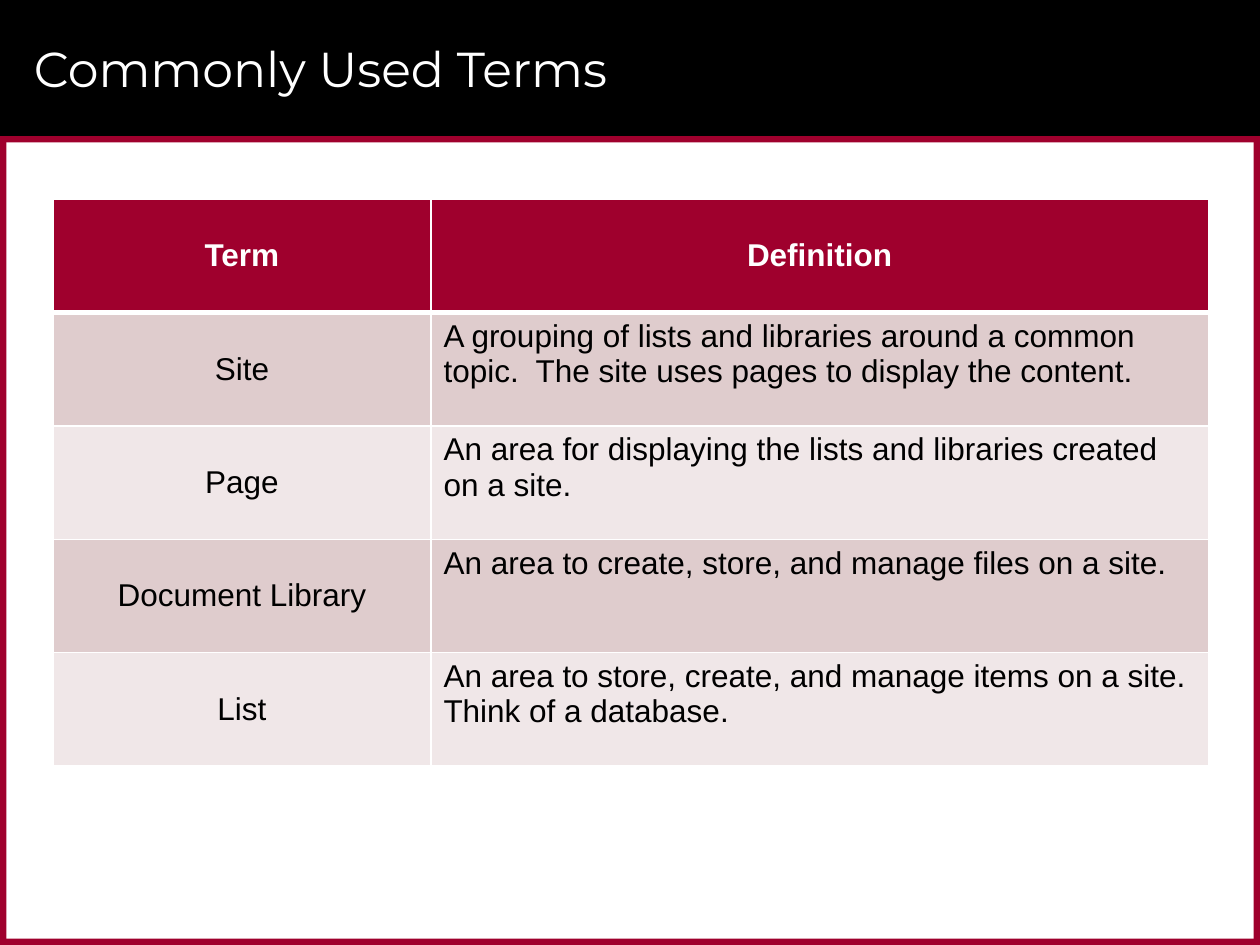
"""Build the Commonly Used Terms slide: title band, red frame and glossary table."""
from dataclasses import dataclass

from lxml import etree
from pptx import Presentation
from pptx import util as u
from pptx.dml.color import RGBColor
from pptx.enum import shapes, text
from pptx.oxml import ns

RED, BLACK, WHITE = "9F002D", "000000", "FFFFFF"
ROW_FILLS = ("DFCCCD", "F0E7E8")
COL_WIDTHS = (3, 6.17)
ROW_HEIGHT = 0.9
BAND, EDGE, WIDTH, HEIGHT = 1.08, 0.05, 10, 7.5


@dataclass
class Bar:
    left: float
    top: float
    width: float
    height: float
    fill: str = RED


@dataclass
class Entry:
    term: str
    definition: str


BARS = [
    Bar(0, 0, WIDTH, BAND, BLACK),
    Bar(0, BAND, WIDTH, EDGE),
    Bar(0, HEIGHT - EDGE, WIDTH, EDGE),
    Bar(WIDTH - EDGE, BAND, EDGE, HEIGHT - BAND),
    Bar(0, BAND, EDGE, HEIGHT - BAND),
]
ENTRIES = [
    Entry("Term", "Definition"),
    Entry("Site", "A grouping of lists and libraries around a common topic.  "
                  "The site uses pages to display the content."),
    Entry("Page", "An area for displaying the lists and libraries created on a site."),
    Entry("Document Library", "An area to create, store, and manage files on a site."),
    Entry("List", "An area to store, create, and manage items on a site.  Think of a database."),
]


def paint(color_format, value: str) -> None:
    color_format.rgb = RGBColor.from_string(value)


def fill_solid(target, value: str) -> None:
    target.fill.solid()
    paint(target.fill.fore_color, value)


def style(p, font: str, size: float, color: str, bold: bool = False) -> None:
    for r in p.runs:
        r.font.name, r.font.size, r.font.bold = font, u.Pt(size), bold
        paint(r.font.color, color)


def add_bar(s, bar: Bar) -> None:
    sp = s.shapes.add_shape(
        shapes.MSO_SHAPE.RECTANGLE, u.Inches(bar.left), u.Inches(bar.top),
        u.Inches(bar.width), u.Inches(bar.height))
    sp.shadow.inherit = False
    fill_solid(sp, bar.fill)
    sp.line.fill.background()


def add_title(s, title: str) -> None:
    sp = s.shapes.add_textbox(u.Inches(0.17), u.Inches(0.08), u.Inches(9.42), u.Inches(0.92))
    tf = sp.text_frame
    tf.word_wrap = True
    tf.vertical_anchor = text.MSO_ANCHOR.MIDDLE
    tf.text = title
    style(tf.paragraphs[0], "Montserrat", 28, WHITE)


def set_borders(cell, top: float, bottom: float) -> None:
    tc_pr = cell._tc.get_or_add_tcPr()
    widths = {"lnL": 1, "lnR": 1, "lnT": top, "lnB": bottom}
    for i, (side, width) in enumerate(widths.items()):
        ln = etree.Element(ns.qn(f"a:{side}"), w=str(u.Pt(width)))
        fill = etree.SubElement(ln, ns.qn("a:solidFill"))
        etree.SubElement(fill, ns.qn("a:srgbClr"), val=WHITE)
        tc_pr.insert(i, ln)


def fill_cell(cell, value: str, row: int, centered: bool) -> None:
    header = row == 0
    cell.text_frame.text = value
    p = cell.text_frame.paragraphs[0]
    style(p, "Arial", 18, WHITE if header else BLACK, header)
    if centered:
        p.alignment = text.PP_ALIGN.CENTER
        cell.vertical_anchor = text.MSO_ANCHOR.MIDDLE
    fill_solid(cell, RED if header else ROW_FILLS[(row - 1) % 2])
    set_borders(cell, top=3 if row == 1 else 1, bottom=3 if header else 1)


def add_glossary(s, entries: list[Entry]) -> None:
    table = s.shapes.add_table(
        len(entries), len(COL_WIDTHS), u.Inches(0.42), u.Inches(1.58),
        u.Inches(sum(COL_WIDTHS)), u.Inches(ROW_HEIGHT * len(entries))).table
    for column, width in zip(table.columns, COL_WIDTHS):
        column.width = u.Inches(width)
    for row, entry in enumerate(entries):
        table.rows[row].height = u.Inches(ROW_HEIGHT)
        fill_cell(table.cell(row, 0), entry.term, row, True)
        fill_cell(table.cell(row, 1), entry.definition, row, row == 0)


def main() -> None:
    prs = Presentation()
    prs.slide_width, prs.slide_height = u.Inches(WIDTH), u.Inches(HEIGHT)
    s = prs.slides.add_slide(prs.slide_layouts[6])
    for bar in BARS:
        add_bar(s, bar)
    add_title(s, "Commonly Used Terms")
    add_glossary(s, ENTRIES)
    prs.save("out.pptx")


if __name__ == "__main__":
    main()
